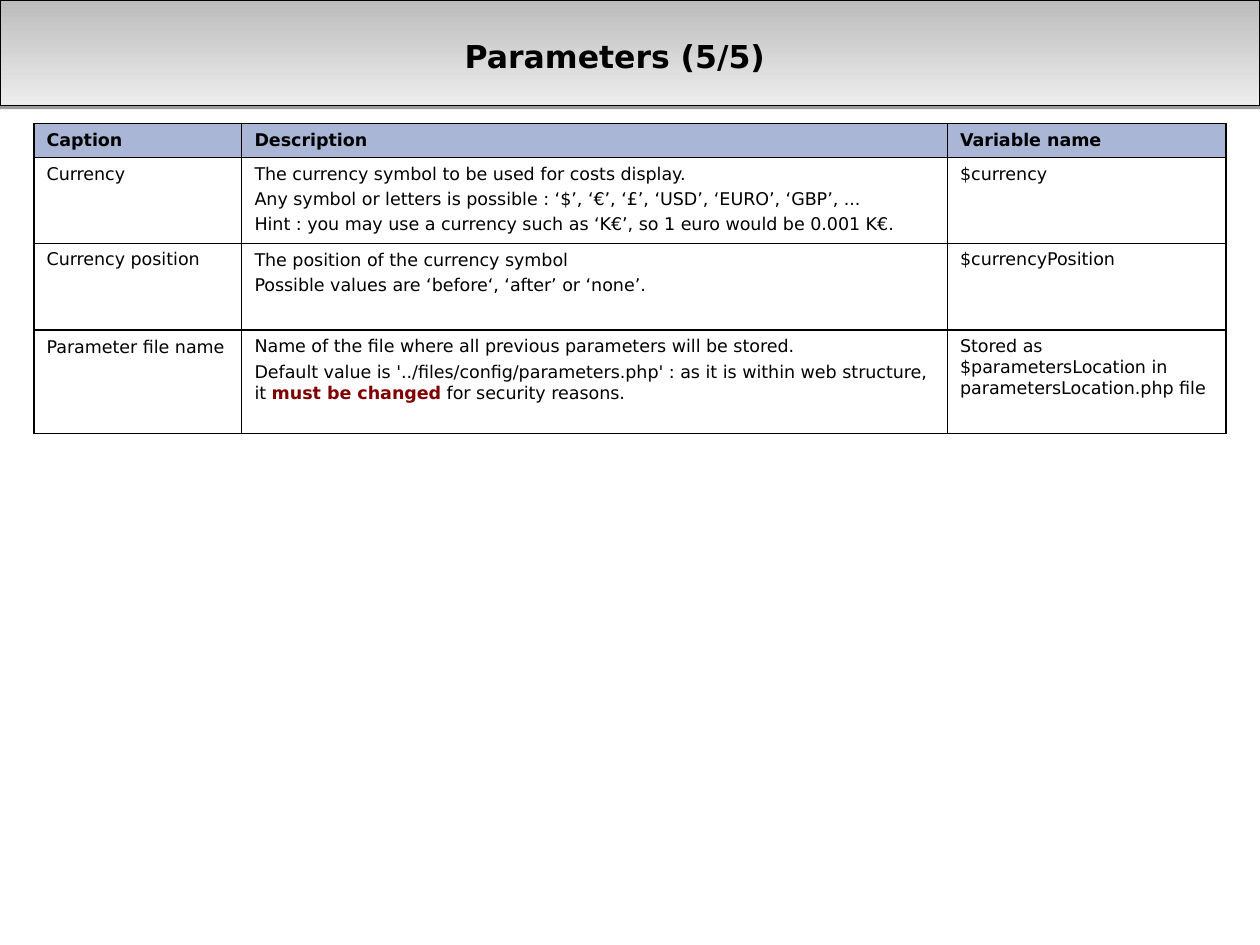
"""Build the slide with the last page of the parameters table."""
from dataclasses import dataclass

from lxml.etree import SubElement
from pptx import Presentation
from pptx.dml.color import RGBColor
from pptx.enum.shapes import MSO_SHAPE as Shape
from pptx.enum.text import MSO_ANCHOR as Anchor, MSO_AUTO_SIZE as AutoSize, PP_ALIGN as Align
from pptx.oxml import parse_xml
from pptx.oxml.ns import nsdecls, qn
from pptx.slide import Slide
from pptx.table import _Cell as Cell
from pptx.text.text import _Paragraph as Paragraph
from pptx.util import Inches, Pt

BLACK = RGBColor(0x00, 0x00, 0x00)
DARK_RED = RGBColor(0x80, 0x00, 0x00)
HEADER_BLUE = RGBColor(0xAA, 0xB6, 0xD6)
LIGHT_GREY = RGBColor(0xED, 0xED, 0xED)
MID_GREY = RGBColor(0xBC, 0xBC, 0xBC)
FONT = "DejaVu Sans"
COLUMN_WIDTHS = (1.65, 5.6, 2.21)


@dataclass(frozen=True)
class Span:
    text: str
    bold: bool = False
    color: RGBColor = BLACK


@dataclass(frozen=True)
class Line:
    spans: tuple[Span, ...]
    spacing: float = 1.02


@dataclass(frozen=True)
class Row:
    height: float
    cells: tuple[tuple[Line, ...], ...]
    header: bool = False


def line(text: str, spacing: float = 1.02, bold: bool = False) -> Line:
    return Line((Span(text, bold),), spacing)


ROWS = (
    Row(0.27, tuple((line(name, bold=True),) for name in ("Caption", "Description", "Variable name")),
        header=True),
    Row(0.68, (
        (line("Currency"),),
        (line("The currency symbol to be used for costs display."),
         line("Any symbol or letters is possible : ‘$’, ‘€’, ‘£’, ‘USD’, ‘EURO’, ‘GBP’, ..."),
         line("Hint : you may use a currency such as ‘K€’, so 1 euro would be 0.001 K€.")),
        (line("$currency"),),
    )),
    Row(0.69, (
        (line("Currency position"),),
        (line("The position of the currency symbol", 1.04),
         line("Possible values are ‘before‘, ‘after’ or ‘none’.", 1.04)),
        (line("$currencyPosition"),),
    )),
    Row(0.82, (
        (line("Parameter file name", 1.04),),
        (line("Name of the file where all previous parameters will be stored."),
         Line((Span("Default value is '../files/config/parameters.php' : "
                    "as it is within web structure, it "),
               Span("must be changed", True, DARK_RED),
               Span(" for security reasons.")), 1.04)),
        (line("Stored as $parametersLocation in parametersLocation.php file"),),
    )),
)


def add_span(para: Paragraph, span: Span, size: float) -> None:
    run = para.add_run()
    run.text = span.text
    run.font.name = FONT
    run.font.size = Pt(size)
    run.font.bold = span.bold
    run.font.color.rgb = span.color


def add_header(slide: Slide, text: str) -> None:
    band = slide.shapes.add_shape(Shape.RECTANGLE, 0, 0, Inches(10), Inches(0.84))
    band.fill.gradient()
    band.fill.gradient_angle = 90
    for stop, color in zip(band.fill.gradient_stops, (LIGHT_GREY, MID_GREY)):
        stop.color.rgb = color
    band.line.color.rgb = BLACK
    band.line.width = Pt(0.75)
    band.shadow.inherit = False
    effects = band._element.spPr.find(qn("a:effectLst"))
    effects.append(parse_xml(
        f'<a:outerShdw {nsdecls("a")} blurRad="0" dist="{Pt(1.6)}" dir="5400000" rotWithShape="0">'
        '<a:srgbClr val="000000"><a:alpha val="38000"/></a:srgbClr></a:outerShdw>'))

    title = slide.shapes.title
    title._element.addprevious(band._element)
    title.left, title.top = Inches(3.03), Inches(0.13)
    title.width, title.height = Inches(3.7), Inches(0.63)
    frame = title.text_frame
    frame.margin_left = frame.margin_right = frame.margin_top = frame.margin_bottom = 0
    frame.vertical_anchor = Anchor.MIDDLE
    frame.auto_size = AutoSize.NONE
    frame.word_wrap = True
    para = frame.paragraphs[0]
    para.alignment = Align.CENTER
    add_span(para, Span(text, bold=True), 18)


def add_borders(cell: Cell) -> None:
    properties = cell._tc.get_or_add_tcPr()
    for side in ("lnL", "lnR", "lnT", "lnB"):
        border = SubElement(properties, qn(f"a:{side}"), w=str(Pt(0.75)))
        fill = SubElement(border, qn("a:solidFill"))
        SubElement(fill, qn("a:srgbClr"), val=str(BLACK))


def fill_cell(cell: Cell, lines: tuple[Line, ...], header: bool) -> None:
    add_borders(cell)
    if header:
        cell.fill.solid()
        cell.fill.fore_color.rgb = HEADER_BLUE
    else:
        cell.fill.background()
    cell.margin_left = cell.margin_right = Inches(0.1)
    cell.margin_top = cell.margin_bottom = Inches(0.05)
    frame = cell.text_frame
    for index, content in enumerate(lines):
        para = frame.add_paragraph() if index else frame.paragraphs[0]
        para.line_spacing = content.spacing
        para.space_before = Pt(2.5 if index else 0)
        for span in content.spans:
            add_span(para, span, 10)


def add_parameters(slide: Slide, rows: tuple[Row, ...]) -> None:
    height = sum(row.height for row in rows)
    table = slide.shapes.add_table(
        len(rows), len(COLUMN_WIDTHS), Inches(0.27), Inches(0.98),
        Inches(sum(COLUMN_WIDTHS)), Inches(height)).table
    table.first_row = table.horz_banding = False
    for column, width in zip(table.columns, COLUMN_WIDTHS):
        column.width = Inches(width)
    for table_row, row in zip(table.rows, rows):
        table_row.height = Inches(row.height)
        for cell, lines in zip(table_row.cells, row.cells):
            fill_cell(cell, lines, row.header)


def main() -> None:
    deck = Presentation()
    deck.slide_width, deck.slide_height = Inches(10), Inches(7.5)
    slide = deck.slides.add_slide(deck.slide_layouts[5])
    add_header(slide, "Parameters (5/5)")
    add_parameters(slide, ROWS)
    deck.save("out.pptx")


if __name__ == "__main__":
    main()
